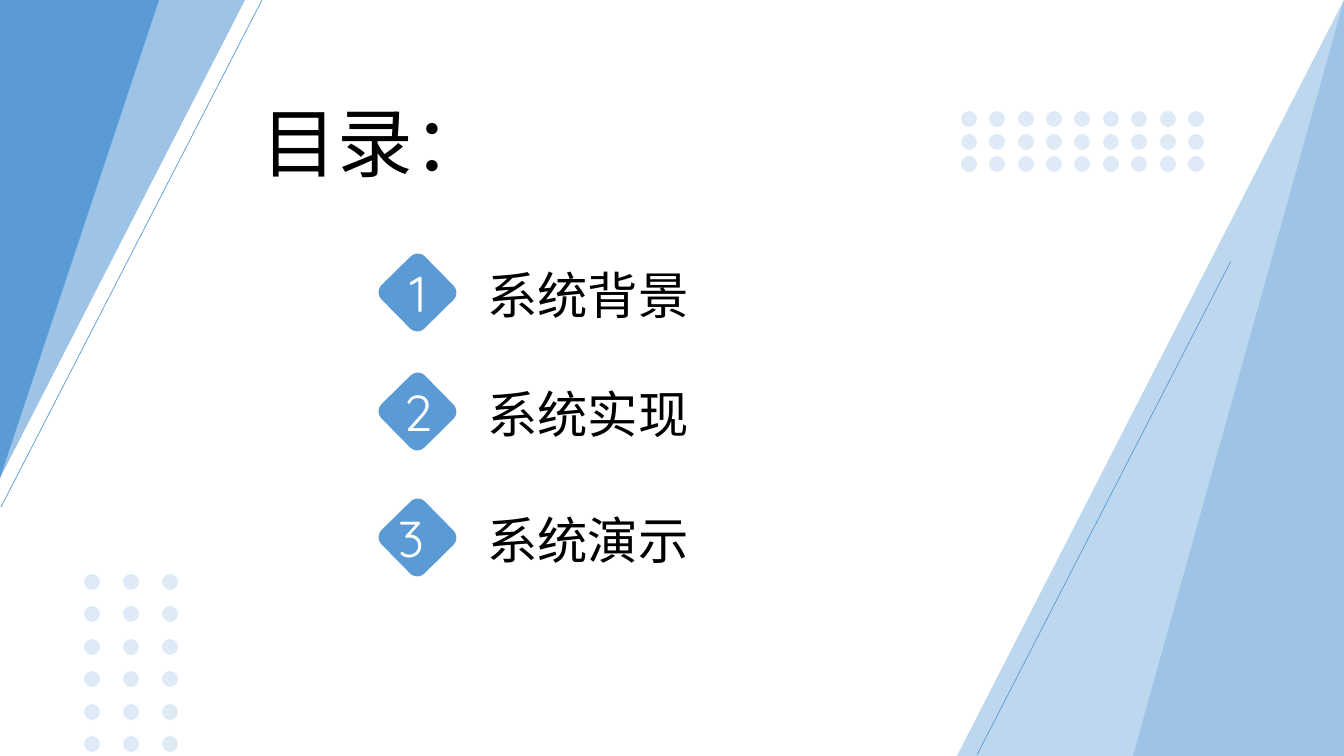
import pptx
import pptx.util
import pptx.dml.color
import pptx.enum.lang
import pptx.enum.shapes
import pptx.enum.text
import pptx.oxml.ns
import lxml.etree

RGB = pptx.dml.color.RGBColor
SHAPE = pptx.enum.shapes.MSO_SHAPE
ALIGN = pptx.enum.text.PP_ALIGN
qn = pptx.oxml.ns.qn

WIDTH, HEIGHT = 1344, 756
PX = 12192000 / WIDTH

BLUE = RGB(0x5B, 0x9B, 0xD5)
MID_BLUE = RGB(0x9D, 0xC3, 0xE6)
LIGHT_BLUE = RGB(0xBD, 0xD7, 0xEE)
DOT_BLUE = RGB(0xDE, 0xEB, 0xF7)
BLACK = RGB(0, 0, 0)
WHITE = RGB(0xFF, 0xFF, 0xFF)


def px(*lengths):
    return [pptx.util.Emu(round(n * PX)) for n in lengths]


class Deck:
    font = "Quicksand"

    def __init__(self, s):
        self.s = s

    def shape(self, kind, x, y, w, h, color, rotation=0):
        sp = self.s.shapes.add_shape(kind, *px(x, y, w, h))
        sp.shadow.inherit = False
        sp.fill.solid()
        sp.fill.fore_color.rgb = color
        sp.line.fill.background()
        sp.rotation = rotation
        return sp

    def wedge(self, x, w, h, color, rotation=0):
        sp = self.shape(SHAPE.ISOSCELES_TRIANGLE, x, 0, w, h, color, rotation)
        sp.adjustments[0] = 1

    def dots(self, x, y, last_x, last_y, cols, rows, size=16):
        dx, dy = (last_x - x) / (cols - 1), (last_y - y) / (rows - 1)
        for row in range(rows):
            for col in range(cols):
                self.shape(SHAPE.OVAL, round(x + col * dx), round(y + row * dy),
                           size, size, DOT_BLUE)

    def line(self, x1, y1, x2, y2):
        c = self.s.shapes.add_connector(
            pptx.enum.shapes.MSO_CONNECTOR.STRAIGHT, *px(x1, y1, x2, y2))
        c.line.color.rgb = BLUE
        c.line.width = pptx.util.Pt(0.5)
        lxml.etree.SubElement(c._element.spPr, qn("a:effectLst"))

    def set_text(self, sp, text, size, color, align=ALIGN.LEFT):
        tf = sp.text_frame
        tf.text = text
        tf.word_wrap = True
        tf.auto_size = pptx.enum.text.MSO_AUTO_SIZE.NONE
        tf.vertical_anchor = pptx.enum.text.MSO_ANCHOR.TOP
        tf.margin_left = tf.margin_right = tf.margin_top = tf.margin_bottom = 0
        for p in tf.paragraphs:
            p.alignment = align
            for r in p.runs:
                r.font.name = self.font
                r.font.size = pptx.util.Pt(size)
                r.font.color.rgb = color
                r.font.language_id = pptx.enum.lang.MSO_LANGUAGE_ID.SIMPLIFIED_CHINESE
                ea = lxml.etree.Element(qn("a:ea"), typeface=self.font)
                r.font._element.find(qn("a:latin")).addnext(ea)
        return tf

    def placeholder(self, idx, x, y, w, h, text, size):
        sp = self.s.placeholders[idx]
        sp.left, sp.top, sp.width, sp.height = px(x, y, w, h)
        return self.set_text(sp, text, size, BLACK)

    def agenda(self, x, tops, w, items, size=36, leading=45):
        tf = self.placeholder(1, x, tops[0], w, tops[-1] - tops[0] + 61,
                              "\n".join(items), size)
        row_px = leading * WIDTH / 960
        gaps = [0] + [b - a - row_px for a, b in zip(tops, tops[1:])]
        for p, gap in zip(tf.paragraphs, gaps):
            p.line_spacing = pptx.util.Pt(leading)
            p.space_before = px(gap)[0]
            pPr = p._p.get_or_add_pPr()
            pPr.set("marL", "0")
            pPr.set("indent", "0")
            lxml.etree.SubElement(pPr, qn("a:buNone"))

    def badge(self, y, label):
        self.shape(SHAPE.FLOWCHART_ALTERNATE_PROCESS, 387, y, 61, 61, BLUE, 45.5)
        box = self.s.shapes.add_textbox(*px(380, y, 76, 61))
        self.set_text(box, label, 36, WHITE, ALIGN.CENTER)


def main():
    prs = pptx.Presentation()
    prs.slide_width, prs.slide_height = px(WIDTH, HEIGHT)
    deck = Deck(prs.slides.add_slide(prs.slide_layouts[1]))

    # Corner wedges
    deck.wedge(0, 245, 478, MID_BLUE, 180)
    deck.wedge(0, 159, 478, BLUE, 180)
    deck.wedge(957, 387, HEIGHT, LIGHT_BLUE)
    deck.wedge(1133, 211, HEIGHT, MID_BLUE)

    # Title and agenda
    deck.placeholder(0, 262, 96, 573, 92, "目录：", 54)
    tops = [262, 381, 507]
    deck.agenda(487, tops, 396, ["系统背景", "系统实现", "系统演示"])
    for y, label in zip(tops, ["1", "2", "3 "]):
        deck.badge(y, label)

    # Dot grids
    deck.dots(84, 574, 162, 736, cols=3, rows=6)
    deck.dots(961, 111, 1188, 156, cols=9, rows=3)

    # Thin lines along the wedges
    deck.line(262, 0, 1, 507)
    deck.line(1231, 261, 977, 755)

    prs.save("out.pptx")


if __name__ == "__main__":
    main()
